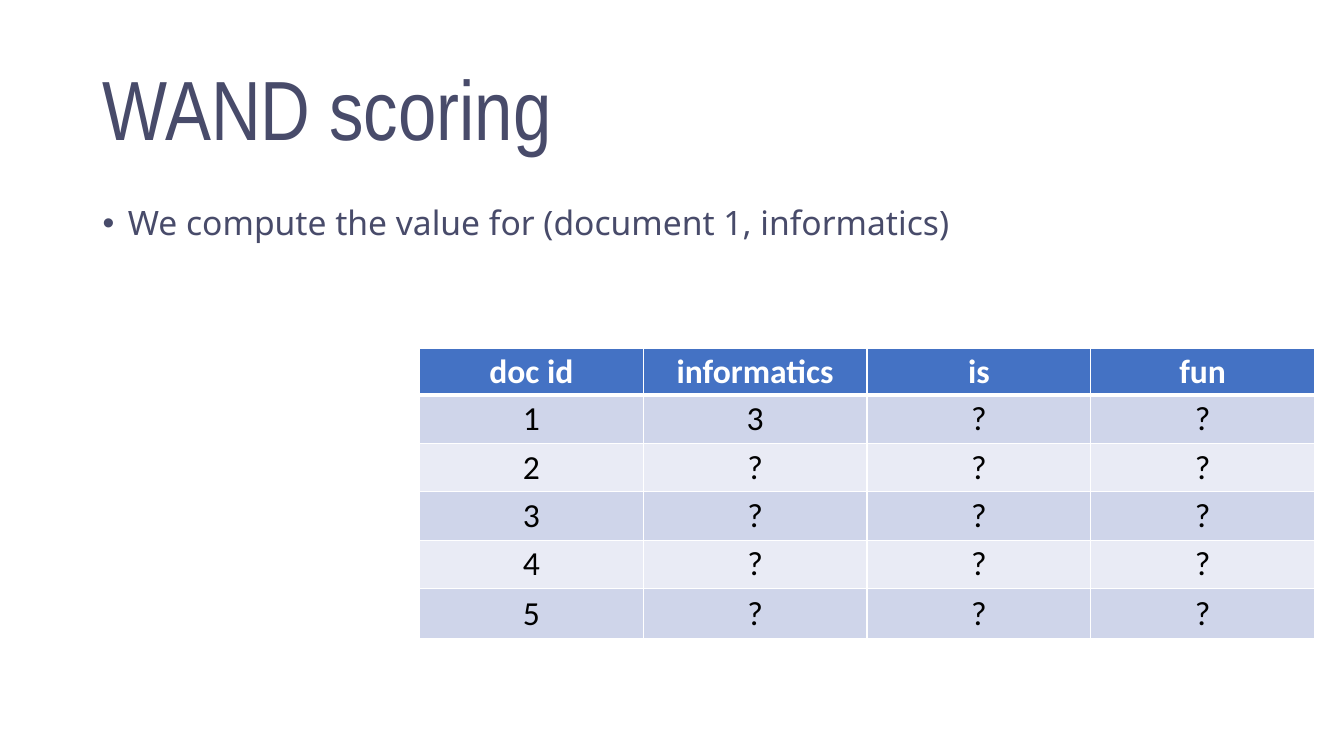
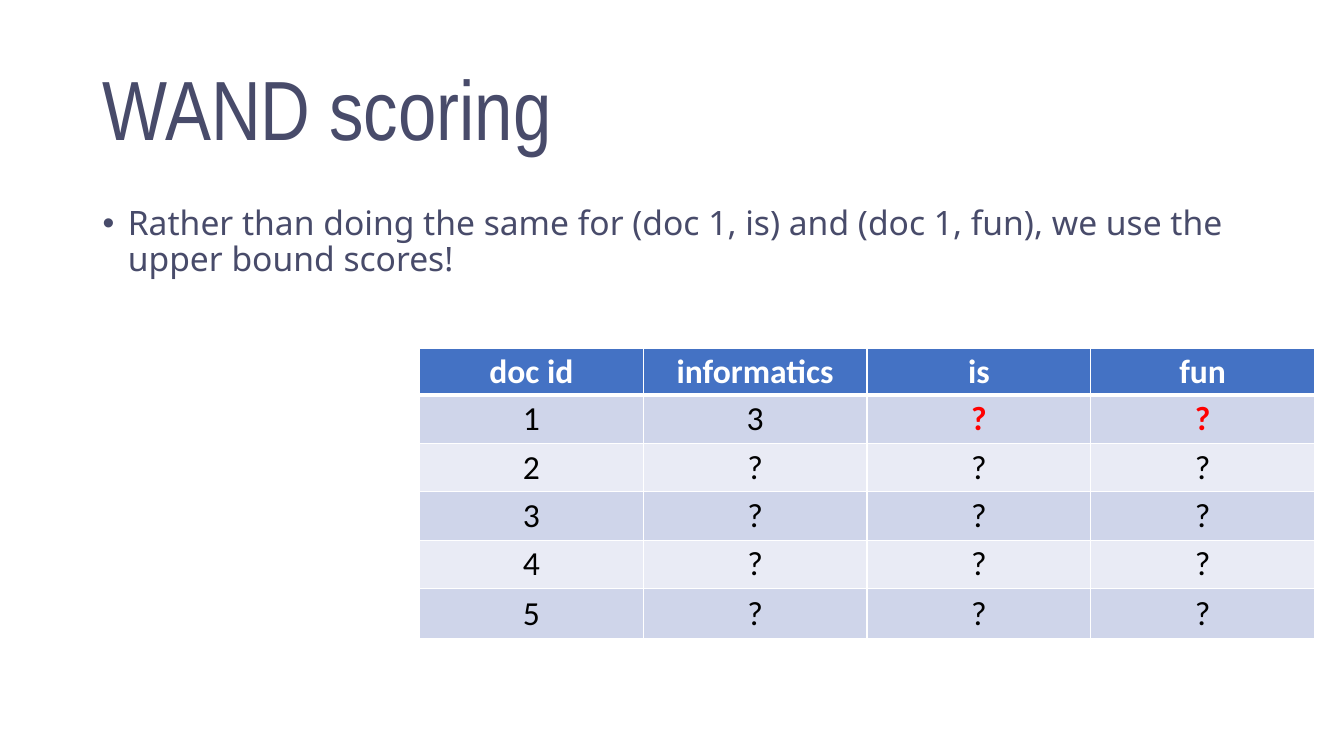
"""Build two slides on WAND scoring, each with a point and a score table."""
from lxml.etree import SubElement
from pptx import Presentation
from pptx.dml.color import RGBColor
from pptx.enum.text import MSO_ANCHOR, PP_ALIGN
from pptx.oxml.ns import qn
from pptx.util import Inches, Pt

TITLE = "WAND scoring"
TERMS = ["doc id", "informatics", "is", "fun"]
SCORES = [
    ["1", "3", "?", "?"],
    ["2", "?", "?", "?"],
    ["3", "?", "?", "?"],
    ["4", "?", "?", "?"],
    ["5", "?", "?", "?"],
]
STEPS = [
    {"point": "We compute the value for (document 1, informatics)",
     "highlights": []},
    {"point": "Rather than doing the same for (doc 1, is) and (doc 1, fun), "
              "we use the upper bound scores!",
     "highlights": [(1, 2), (1, 3)]},
]

INK = RGBColor(0x48, 0x4B, 0x6A)
WHITE = RGBColor(0xFF, 0xFF, 0xFF)
BLACK = RGBColor(0x00, 0x00, 0x00)
RED = RGBColor(0xFF, 0x00, 0x00)
HEADER_BLUE = RGBColor(0x44, 0x72, 0xC4)
BANDS = [RGBColor(0xE9, 0xEB, 0xF5), RGBColor(0xCF, 0xD5, 0xEA)]

MARGIN, TEXT_WIDTH = Inches(0.92), Inches(11.5)
COLUMN_WIDTH = Inches(2.22)
ROW_HEIGHTS = [Inches(0.46)] + [Inches(0.48)] * 4 + [Inches(0.5)]


def style_runs(paragraph, size, font, color, bold=False):
    for run in paragraph.runs:
        run.font.size = Pt(size)
        run.font.name = font
        run.font.color.rgb = color
        run.font.bold = bold


def add_text(slide, text, top, height, size, font, anchor):
    frame = slide.shapes.add_textbox(MARGIN, top, TEXT_WIDTH, height).text_frame
    frame.word_wrap = True
    frame.vertical_anchor = anchor
    frame.text = text
    paragraph = frame.paragraphs[0]
    paragraph.line_spacing = 0.9
    style_runs(paragraph, size, font, INK)
    return paragraph


def add_bullet(paragraph):
    paragraph.space_before = Pt(10)
    properties = paragraph._p.get_or_add_pPr()
    properties.set("marL", str(Inches(0.25)))
    properties.set("indent", str(-Inches(0.25)))
    SubElement(properties, qn("a:buFont"), typeface="Arial")
    SubElement(properties, qn("a:buChar"), char="•")


def add_borders(cell, widths):
    properties = cell._tc.get_or_add_tcPr()
    for side, width in widths.items():
        line = SubElement(properties, qn(f"a:ln{side}"), w=str(Pt(width)))
        fill = SubElement(line, qn("a:solidFill"))
        SubElement(fill, qn("a:srgbClr"), val=str(WHITE))


def style_cell(cell, row, highlighted):
    header = row == 0
    add_borders(cell, {"L": 1, "R": 1, "T": 3 if row == 1 else 1,
                       "B": 3 if header else 1})
    cell.fill.solid()
    cell.fill.fore_color.rgb = HEADER_BLUE if header else BANDS[row % 2]
    cell.vertical_anchor = MSO_ANCHOR.MIDDLE
    cell.margin_left = cell.margin_right = Inches(0.07)
    cell.margin_top = cell.margin_bottom = Inches(0.03)
    paragraph = cell.text_frame.paragraphs[0]
    paragraph.alignment = PP_ALIGN.CENTER
    color = WHITE if header else RED if highlighted else BLACK
    style_runs(paragraph, 24, "Calibri", color, header or highlighted)


def add_score_table(slide, highlights):
    rows = [TERMS] + SCORES
    table = slide.shapes.add_table(
        len(rows), len(TERMS), Inches(4.16), Inches(3.46),
        COLUMN_WIDTH * len(TERMS), sum(ROW_HEIGHTS)).table
    for column in table.columns:
        column.width = COLUMN_WIDTH
    for row, (height, values) in enumerate(zip(ROW_HEIGHTS, rows)):
        table.rows[row].height = height
        for column, value in enumerate(values):
            cell = table.cell(row, column)
            cell.text_frame.text = value
            style_cell(cell, row, (row, column) in highlights)


def main():
    deck = Presentation()
    deck.slide_width, deck.slide_height = Inches(13.33), Inches(7.5)
    for step in STEPS:
        slide = deck.slides.add_slide(deck.slide_layouts[6])
        add_text(slide, TITLE, Inches(0.4), Inches(1.45), 60, "Arial Narrow",
                 MSO_ANCHOR.MIDDLE)
        add_bullet(add_text(slide, step["point"], Inches(2), Inches(5.3), 24,
                            "Noto Sans", MSO_ANCHOR.TOP))
        add_score_table(slide, step["highlights"])
    deck.save("out.pptx")


if __name__ == "__main__":
    main()
